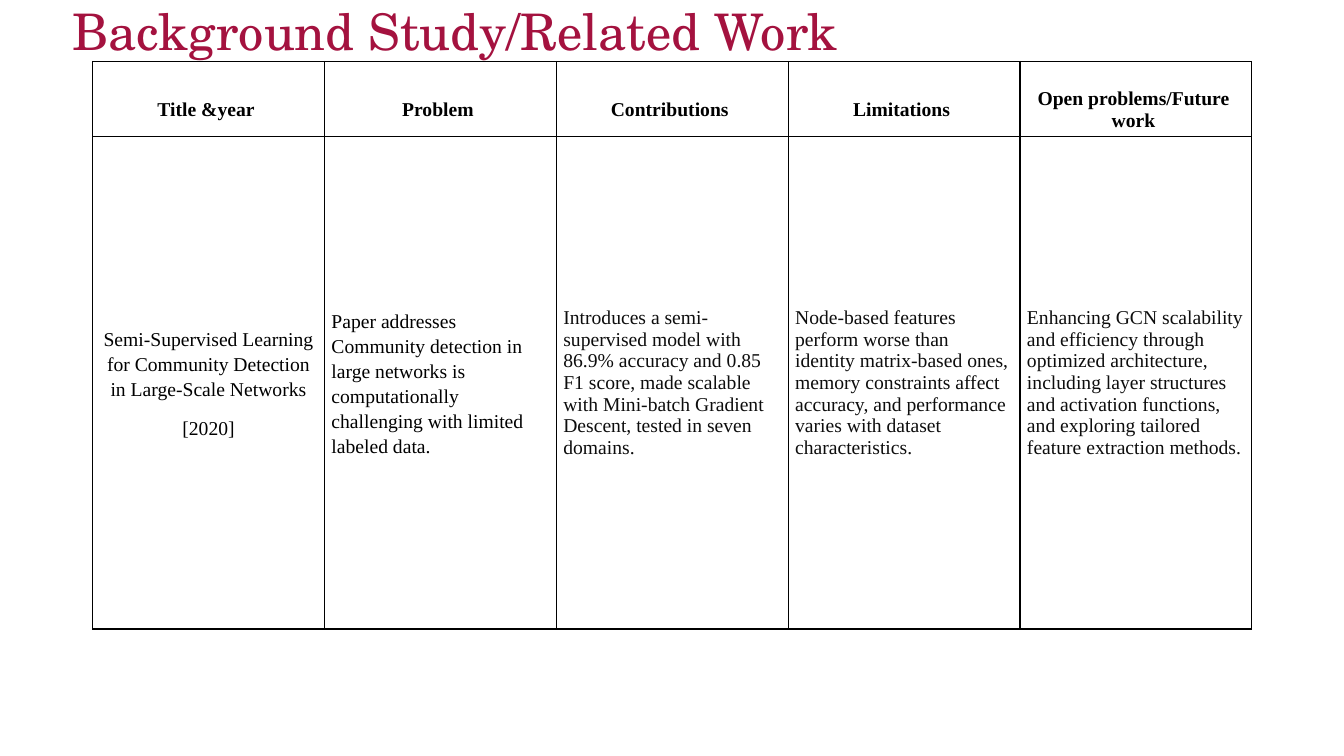
from dataclasses import dataclass

from lxml import etree
from pptx import Presentation
from pptx.dml.color import RGBColor
from pptx.enum import text
from pptx.oxml import ns
from pptx.table import _Cell
from pptx.util import Pt

BLACK = RGBColor(0x00, 0x00, 0x00)
INK = RGBColor(0x0D, 0x0D, 0x0D)
CRIMSON = RGBColor(0xA4, 0x12, 0x3F)
LEFT, CENTER = text.PP_ALIGN.LEFT, text.PP_ALIGN.CENTER
COLUMN_WIDTH = 165.6
ROW_HEIGHTS = (53.7, 351.6)


@dataclass(frozen=True)
class CellStyle:
    margins: tuple[float, float, float, float]
    align: text.PP_ALIGN = LEFT
    color: RGBColor = BLACK
    bold: bool = False
    line_spacing: float = 1.0
    space_after: float = 0


@dataclass(frozen=True)
class Column:
    heading: str
    body: tuple[str, ...]
    style: CellStyle


BODY_MARGINS = (5, 5, 5, 5)
HEADING = CellStyle((7.2, 19.1, 10.7, 3.6), CENTER, bold=True)
PAPER = CellStyle(BODY_MARGINS, CENTER, line_spacing=1.15, space_after=10)
PROBLEM = CellStyle(BODY_MARGINS, line_spacing=1.15, space_after=10)
FINDING = CellStyle(BODY_MARGINS, color=INK)

COLUMNS = (
    Column("Title &year",
           ("Semi-Supervised Learning for Community Detection in Large-Scale Networks",
            "[2020]"), PAPER),
    Column("Problem",
           ("Paper addresses Community detection in large networks is computationally "
            "challenging with limited labeled data.",), PROBLEM),
    Column("Contributions",
           ("Introduces a semi-supervised model with 86.9% accuracy and 0.85 F1 score, "
            "made scalable with Mini-batch Gradient Descent, tested in seven domains.",),
           FINDING),
    Column("Limitations",
           ("Node-based features perform worse than identity matrix-based ones, memory "
            "constraints affect accuracy, and performance varies with dataset "
            "characteristics.",), FINDING),
    Column("Open problems/Future work",
           ("Enhancing GCN scalability and efficiency through optimized architecture, "
            "including layer structures and activation functions, and exploring "
            "tailored feature extraction methods.",), FINDING),
)


def add_borders(cell: _Cell) -> None:
    tc_pr = cell._tc.get_or_add_tcPr()
    for side in ("a:lnL", "a:lnR", "a:lnT", "a:lnB"):
        line = etree.SubElement(tc_pr, ns.qn(side), w=str(Pt(1)))
        fill = etree.SubElement(line, ns.qn("a:solidFill"))
        etree.SubElement(fill, ns.qn("a:srgbClr"), val=str(BLACK))


def fill_cell(cell: _Cell, lines: tuple[str, ...], style: CellStyle) -> None:
    add_borders(cell)
    cell.fill.background()
    cell.vertical_anchor = text.MSO_ANCHOR.MIDDLE
    (cell.margin_left, cell.margin_top,
     cell.margin_right, cell.margin_bottom) = map(Pt, style.margins)
    tf = cell.text_frame
    tf.text = "\n".join(lines)
    for p in tf.paragraphs:
        p.alignment = style.align
        p.line_spacing = style.line_spacing
        p.space_after = Pt(style.space_after)
        p.font.name = "Times New Roman"
        p.font.size = Pt(14)
        p.font.bold = style.bold
        p.font.color.rgb = style.color


def add_title(s, title: str) -> None:
    sp = s.shapes.add_textbox(Pt(44.6), Pt(2.5), Pt(828), Pt(44))
    tf = sp.text_frame
    tf.word_wrap = True
    tf.margin_top = tf.margin_bottom = 0
    tf.vertical_anchor = text.MSO_ANCHOR.MIDDLE
    p = tf.paragraphs[0]
    p.text = title
    p.line_spacing = 0.9
    p.font.name = "TeX Gyre Schola"
    p.font.size = Pt(36)
    p.font.color.rgb = CRIMSON


def add_study_table(s) -> None:
    table = s.shapes.add_table(
        len(ROW_HEIGHTS), len(COLUMNS), Pt(66.2), Pt(44),
        Pt(COLUMN_WIDTH * len(COLUMNS)), Pt(sum(ROW_HEIGHTS))).table
    table.first_row = table.horz_banding = False
    for row, height in zip(table.rows, ROW_HEIGHTS):
        row.height = Pt(height)
    for i, column in enumerate(COLUMNS):
        table.columns[i].width = Pt(COLUMN_WIDTH)
        fill_cell(table.cell(0, i), (column.heading,), HEADING)
        fill_cell(table.cell(1, i), column.body, column.style)


def main() -> None:
    prs = Presentation()
    prs.slide_width, prs.slide_height = Pt(960), Pt(540)
    s = prs.slides.add_slide(prs.slide_layouts[6])
    add_study_table(s)
    add_title(s, "Background Study/Related Work")
    prs.save("out.pptx")


if __name__ == "__main__":
    main()
